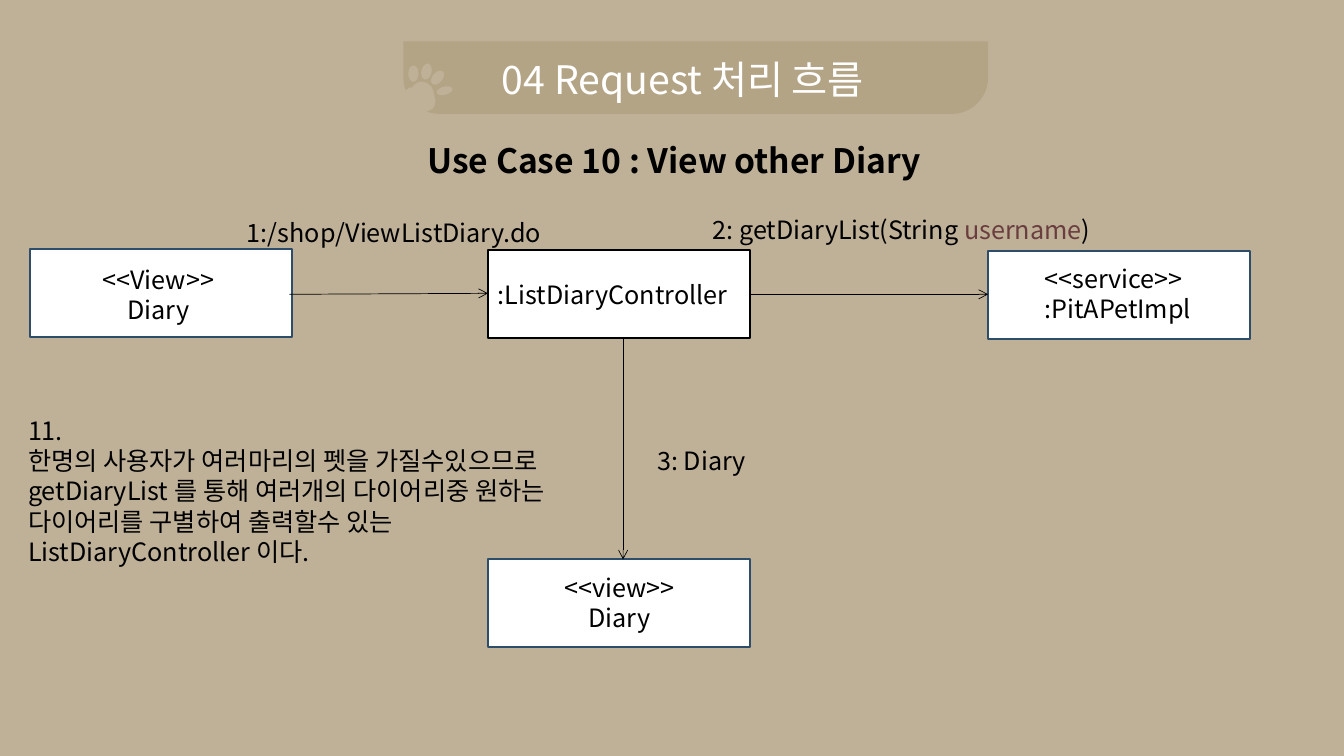
import math

import pptx
import pptx.util
from lxml import etree
from pptx.dml.color import RGBColor
from pptx.enum.shapes import MSO_CONNECTOR, MSO_SHAPE
from pptx.enum.text import PP_ALIGN
from pptx.oxml.ns import qn
from pptx.util import Inches, Pt

FONT = "Noto Sans CJK KR"
SAND = RGBColor(0xBF, 0xB1, 0x98)
KHAKI = RGBColor(0xB4, 0xA4, 0x86)
WHITE = RGBColor(0xFF, 0xFF, 0xFF)
BLACK = RGBColor(0x00, 0x00, 0x00)
NAVY = RGBColor(0x2D, 0x4D, 0x6A)
MAROON = RGBColor(0x6A, 0x3E, 0x3E)
LEFT, CENTER = PP_ALIGN.LEFT, PP_ALIGN.CENTER

# Banner paw: toes are centre x, centre y, half length, half width, tilt in degrees
TOES = [
    (4.41, 0.9, 0.08, 0.04, -15),
    (4.34, 0.77, 0.08, 0.05, -50),
    (4.1, 0.73, 0.08, 0.05, 90),
    (4.23, 0.71, 0.08, 0.05, -77),
]
PAD = [
    (4.18, 0.81), (4.23, 0.82), (4.28, 0.86), (4.3, 0.91), (4.31, 0.96),
    (4.32, 1), (4.31, 1.05), (4.29, 1.08), (4.25, 1.1), (4.2, 1.12),
    (4.16, 1.13), (4.11, 1.12), (4.08, 1.1), (4.06, 1.07), (4.03, 1.05),
    (4.01, 1.02), (4, 0.97), (4.01, 0.92), (4.03, 0.89), (4.06, 0.87),
    (4.09, 0.87), (4.1, 0.85), (4.14, 0.82),
]

# Nodes: left, top, outline
NODE_SIZE = (2.6, 0.87)
NODES = [
    (0.3, 2.47, NAVY),
    (4.84, 2.48, BLACK),
    (9.8, 2.49, NAVY),
    (4.84, 5.55, NAVY),
]

# Arrows: start x, start y, end x, end y
ARROWS = [
    (2.87, 2.92, 4.84, 2.91),
    (7.44, 2.92, 9.8, 2.92),
    (6.18, 3.35, 6.18, 5.55),
]

# Headings: area, text, size, colour, bold, wrap
HEADINGS = [
    ((4.88, 0.5, 3.92, 1.03), "04 Request 처리 흐름", 28, WHITE, False, False),
    ((4.14, 1.34, 5.82, 0.49), "Use Case 10 : View other Diary", 24, BLACK, True, True),
]

# Labels: area, alignment, wrap, paragraphs of (text, colour) spans
LABELS = [
    ((0.58, 2.57, 1.98, 0.7), CENTER, True, [[("<<View>>", BLACK)], [("Diary", BLACK)]]),
    ((4.84, 2.72, 2.68, 0.4), LEFT, True, [[(":ListDiaryController", BLACK)]]),
    ((10.26, 2.56, 1.69, 0.7), LEFT, False,
     [[("<<service>>", BLACK)], [(":PitAPetImpl", BLACK)]]),
    ((5.04, 5.63, 2.21, 0.7), CENTER, True, [[("<<view>>", BLACK)], [("Diary", BLACK)]]),
    ((2.35, 2.11, 3.15, 0.4), LEFT, True, [[("1:/shop/ViewListDiary.do", BLACK)]]),
    ((6.97, 2.08, 4.13, 0.4), LEFT, True,
     [[("2: getDiaryList(String ", BLACK), ("username", MAROON), (")", BLACK)]]),
    ((6.42, 4.37, 2.05, 0.4), LEFT, True, [[("3: Diary", BLACK)]]),
    ((0.18, 4.07, 5.8, 1.6), LEFT, True, [
        [("11.", BLACK)],
        [("한명의 사용자가 여러마리의 펫을 가질수있으므로 getDiaryList 를 통해 "
          "여러개의 다이어리중 원하는 다이어리를 구별하여 출력할수 있는 "
          "ListDiaryController 이다.", BLACK)],
    ]),
]


def paint(shape, fill, outline=None):
    shape.shadow.inherit = False
    shape.fill.solid()
    shape.fill.fore_color.rgb = fill
    if outline is None:
        shape.line.fill.background()
    else:
        shape.line.color.rgb = outline
        shape.line.width = Pt(1.5)


def add_text(page, area, paragraphs, size=18, bold=False, align=LEFT, wrap=True):
    box = page.shapes.add_textbox(*map(Inches, area))
    frame = box.text_frame
    frame.word_wrap = wrap
    for index, spans in enumerate(paragraphs):
        para = frame.add_paragraph() if index else frame.paragraphs[0]
        para.alignment = align
        para.font.name = FONT
        para.font.size = Pt(size)
        para.font.bold = bold
        base_color = spans[0][1]
        para.font.color.rgb = base_color
        defaults = para._p.pPr.find(qn("a:defRPr"))
        etree.SubElement(defaults, qn("a:ea")).set("typeface", FONT)
        for text, color in spans:
            span = para.add_run()
            span.text = text
            if color != base_color:
                span.font.color.rgb = color


def add_arrow(page, ends):
    arrow = page.shapes.add_connector(MSO_CONNECTOR.STRAIGHT, *map(Inches, ends))
    arrow.line.color.rgb = BLACK
    arrow.line.width = Pt(0.5)
    etree.SubElement(arrow.line._get_or_add_ln(), qn("a:tailEnd")).set("type", "arrow")
    etree.SubElement(arrow._element.spPr, qn("a:effectLst"))


def toe_outline(x, y, length, width, tilt, steps=24):
    """Points round a tilted ellipse."""
    cos, sin = math.cos(math.radians(tilt)), math.sin(math.radians(tilt))
    points = []
    for step in range(steps):
        turn = 2 * math.pi * step / steps
        along, across = length * math.cos(turn), width * math.sin(turn)
        points.append((x + along * cos - across * sin, y + along * sin + across * cos))
    return points


def add_paw(page):
    outlines = [[(Inches(x), Inches(y)) for x, y in points]
                for points in [PAD] + [toe_outline(*toe) for toe in TOES]]
    builder = page.shapes.build_freeform(*outlines[0][0])
    for index, points in enumerate(outlines):
        if index:
            builder.move_to(*points[0])
        builder.add_line_segments(points[1:], close=True)
    paint(builder.convert_to_shape(), SAND)


def main():
    deck = pptx.Presentation()
    deck.slide_width, deck.slide_height = Inches(13.33), Inches(7.5)
    page = deck.slides.add_slide(deck.slide_layouts[6])
    page.background.fill.solid()
    page.background.fill.fore_color.rgb = SAND

    banner = page.shapes.add_shape(
        MSO_SHAPE.ROUND_2_SAME_RECTANGLE, *map(Inches, (4, 0.41, 5.8, 0.72)))
    banner.rotation = 180
    banner.adjustments[0] = 0.5
    banner.adjustments[1] = 0
    paint(banner, KHAKI)
    add_paw(page)

    for left, top, outline in NODES:
        node = page.shapes.add_shape(
            MSO_SHAPE.RECTANGLE, *map(Inches, (left, top, *NODE_SIZE)))
        paint(node, WHITE, outline)
    for ends in ARROWS:
        add_arrow(page, ends)
    for area, text, size, color, bold, wrap in HEADINGS:
        add_text(page, area, [[(text, color)]], size, bold, wrap=wrap)
    for area, align, wrap, paragraphs in LABELS:
        add_text(page, area, paragraphs, align=align, wrap=wrap)

    deck.save("out.pptx")


if __name__ == "__main__":
    main()
